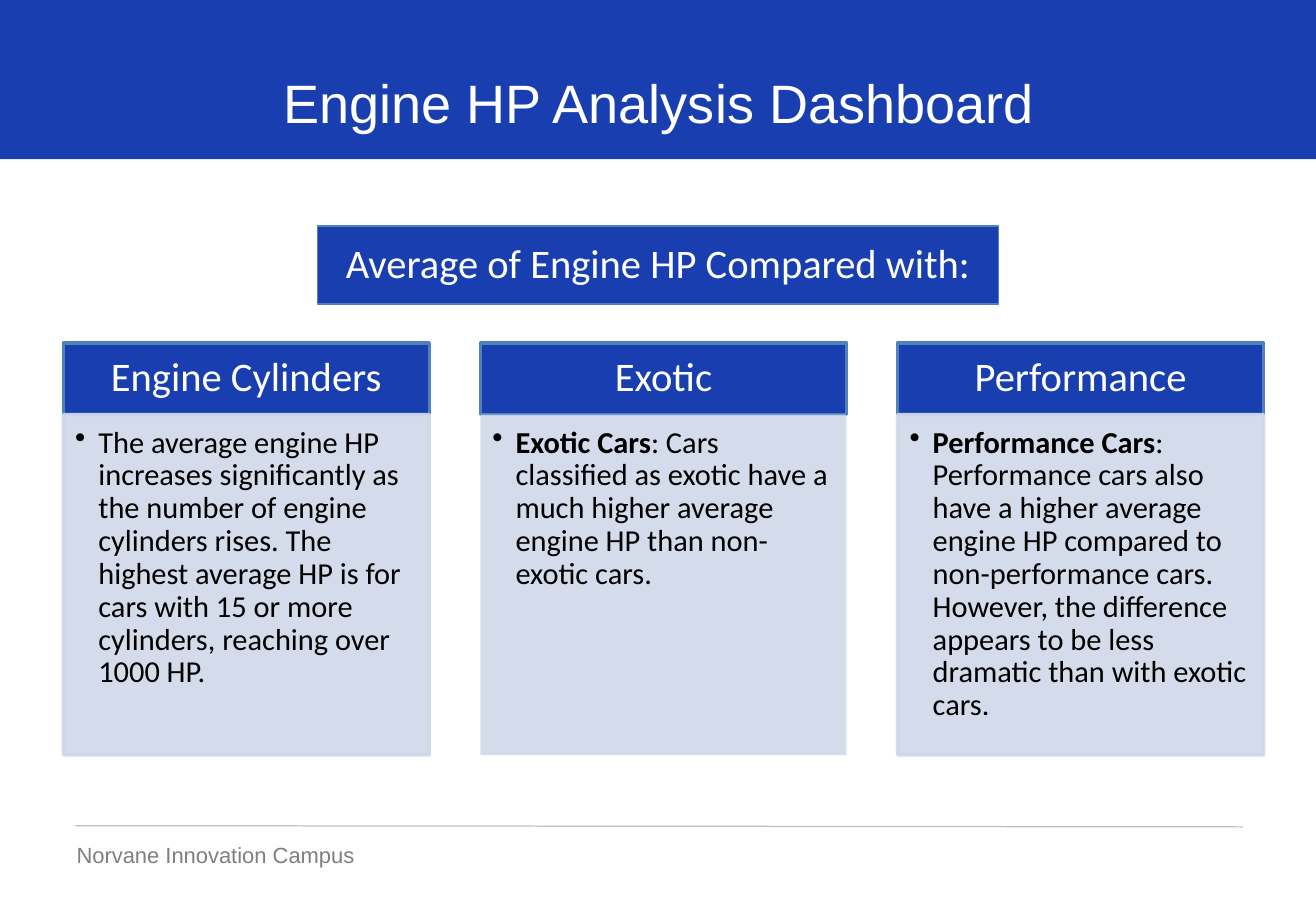
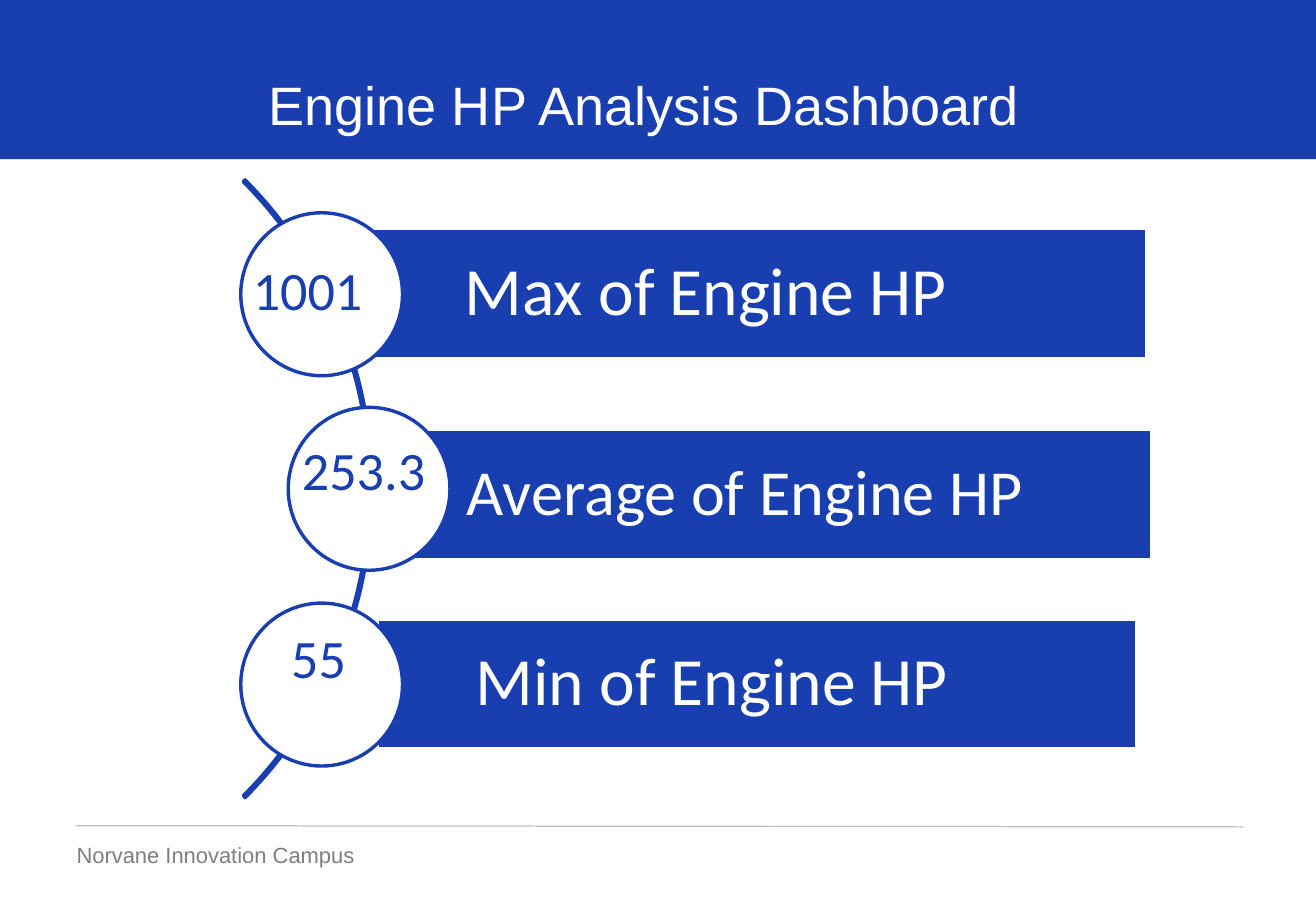
from lxml import etree
from pptx import Presentation
from pptx import util as u
from pptx.dml.color import RGBColor
from pptx.enum import shapes, text
from pptx.oxml import ns

PX = 9144
WIDE, HIGH = 1082, 750
BLUE = RGBColor(0x19, 0x3E, 0xB0)
STEEL = RGBColor(0x4F, 0x81, 0xBD)
PALE = RGBColor(0xD0, 0xD8, 0xE8)
WHITE = RGBColor(0xFF, 0xFF, 0xFF)
BLACK = RGBColor(0, 0, 0)
GREY = RGBColor(0x7F, 0x7F, 0x7F)
RULE = RGBColor(0xBF, 0xBF, 0xBF)
RECT = shapes.MSO_SHAPE.RECTANGLE
OVAL = shapes.MSO_SHAPE.OVAL
ARC = shapes.MSO_SHAPE.BLOCK_ARC
LEFT, MID = text.PP_ALIGN.LEFT, text.PP_ALIGN.CENTER
TOP, CORE = text.MSO_ANCHOR.TOP, text.MSO_ANCHOR.MIDDLE

TITLE = "Engine HP Analysis Dashboard"
CARDS = [
    ("Engine Cylinders", "", "The average engine HP increases significantly as the number "
     "of engine cylinders rises. The highest average HP is for cars with 15 or more "
     "cylinders, reaching over 1000 HP.", True),
    ("Exotic", "Exotic Cars", ": Cars classified as exotic have a much higher average "
     "engine HP than non-exotic cars.", False),
    ("Performance", "Performance Cars", ": Performance cars also have a higher average "
     "engine HP compared to non-performance cars. However, the difference appears to be "
     "less dramatic than with exotic cars.", True),
]
STATS = [
    ("1001", (128, 206, 250, 64), (198, 175), "Max of Engine HP", 40, (301, 188, 642, 107)),
    ("253.3", (174, 354, 250, 67), (237, 335), "Average of Engine HP", 38, (303, 353, 644, 107)),
    ("55", (137, 509, 250, 64), (198, 496), "Min of Engine HP", 40, (310, 509, 625, 107)),
]


def emu(vals):
    """Turn px lengths into EMU."""
    return [v * PX for v in vals]


def box(slide, kind, area, fill, edge=None, wide=2):
    """Add a flat preset shape, with an outline if an edge colour is given."""
    shape = slide.shapes.add_shape(kind, *emu(area))
    shape.shadow.inherit = False
    shape.fill.solid()
    shape.fill.fore_color.rgb = fill
    if edge is None:
        shape.line.fill.background()
    else:
        shape.line.color.rgb = edge
        shape.line.width = u.Pt(wide)
    return shape


def write(shape, words, size, ink, face="Calibri", pad=(0, 0, 0, 0),
          align=LEFT, hold=TOP, lead=None):
    """Fill a shape with one styled paragraph and return it."""
    frame = shape.text_frame
    frame.word_wrap = True
    frame.vertical_anchor = hold
    (frame.margin_left, frame.margin_top,
     frame.margin_right, frame.margin_bottom) = emu(pad)
    frame.text = words
    para = frame.paragraphs[0]
    para.alignment = align
    para.line_spacing = lead
    for run in para.runs:
        style(run, size, ink, face)
    return para


def style(run, size, ink, face="Calibri"):
    """Set the font of a run."""
    run.font.size = u.Pt(size)
    run.font.name = face
    run.font.color.rgb = ink


def label(slide, area, words, size, ink, **look):
    """Add a text box."""
    return write(slide.shapes.add_textbox(*emu(area)), words, size, ink, **look)


def fade(shape):
    """Make the fill and outline of a shape 90 percent opaque."""
    for hue in shape.element.spPr.iter(ns.qn("a:srgbClr")):
        etree.SubElement(hue, ns.qn("a:alpha")).set("val", "90000")


def bullet(para):
    """Give a paragraph a hanging dot."""
    prop = para._p.get_or_add_pPr()
    prop.set("marL", str(19 * PX))
    prop.set("indent", str(-19 * PX))
    etree.SubElement(prop, ns.qn("a:buChar")).set("char", "•")


def base(deck, left, top):
    """Add a slide with the band, the title at the given place and the footer."""
    slide = deck.slides.add_slide(deck.slide_layouts[6])
    box(slide, RECT, (0, 0, WIDE, 131), BLUE)
    line = slide.shapes.add_connector(
        shapes.MSO_CONNECTOR.STRAIGHT, *emu((62, 679, 1022, 680)))
    line.line.color.rgb = RULE
    line.line.width = u.Pt(0.75)
    etree.SubElement(line.element.spPr, ns.qn("a:effectLst"))
    label(slide, (63, 692, 316, 25), "Norvane Innovation Campus", 13, GREY,
          face="Arial", lead=u.Pt(15.6))
    label(slide, (left, top, WIDE - left, 53), TITLE, 32, WHITE,
          face="Arial", lead=u.Pt(38.4))
    return slide


def card(slide, area, head, lead, body, rim):
    """Draw a heading bar over a pale panel with one bulleted note."""
    left, top, wide, high = area
    bar = 59
    cap = box(slide, RECT, (left, top, wide, bar), BLUE, STEEL)
    write(cap, head, 24, WHITE, pad=(19, 11, 19, 11), align=MID, hold=CORE, lead=0.9)
    panel = box(slide, RECT, (left, top + bar, wide, high - bar), PALE,
                PALE if rim else None)
    fade(panel)
    para = write(panel, lead, 18, BLACK, pad=(10, 10, 14, 16), lead=0.9)
    for run in para.runs:
        run.font.bold = True
    rest = para.add_run()
    rest.text = body
    style(rest, 18, BLACK)
    bullet(para)


def compare(deck):
    """Build the slide with the banner and three cards."""
    slide = base(deck, 233, 57)
    for i, (head, lead, body, rim) in enumerate(CARDS):
        card(slide, (52 + 343 * i, 282, 301, 339), head, lead, body, rim)
    banner = box(slide, RECT, (261, 186, 560, 64), BLUE, STEEL, 1)
    write(banner, "Average of Engine HP Compared with:", 24, WHITE,
          pad=(14, 8, 14, 8), align=MID, hold=CORE, lead=0.9)


def stat(slide, num, spot, ring, name, size, area):
    """Draw a named bar, its circle and the figure in the circle."""
    bar = box(slide, RECT, area, BLUE, WHITE)
    write(bar, name, size, WHITE, pad=(81, 11, 11, 11), hold=CORE, lead=0.9)
    box(slide, OVAL, (*ring, 133, 134), WHITE, BLUE)
    label(slide, spot, num, 32, BLUE, pad=(10, 5, 10, 5), align=MID)


def figures(deck):
    """Build the slide with three figures along an arc."""
    slide = base(deck, 221, 59)
    arc = box(slide, ARC, (-411, 42, 717, 720), BLUE, BLUE)
    for i, val in enumerate((189, 27, 0.003)):
        arc.adjustments[i] = val
    for row in STATS:
        stat(slide, *row)


def main():
    """Build and save the deck."""
    deck = Presentation()
    deck.slide_width, deck.slide_height = emu((WIDE, HIGH))
    compare(deck)
    figures(deck)
    deck.save("out.pptx")


if __name__ == "__main__":
    main()
